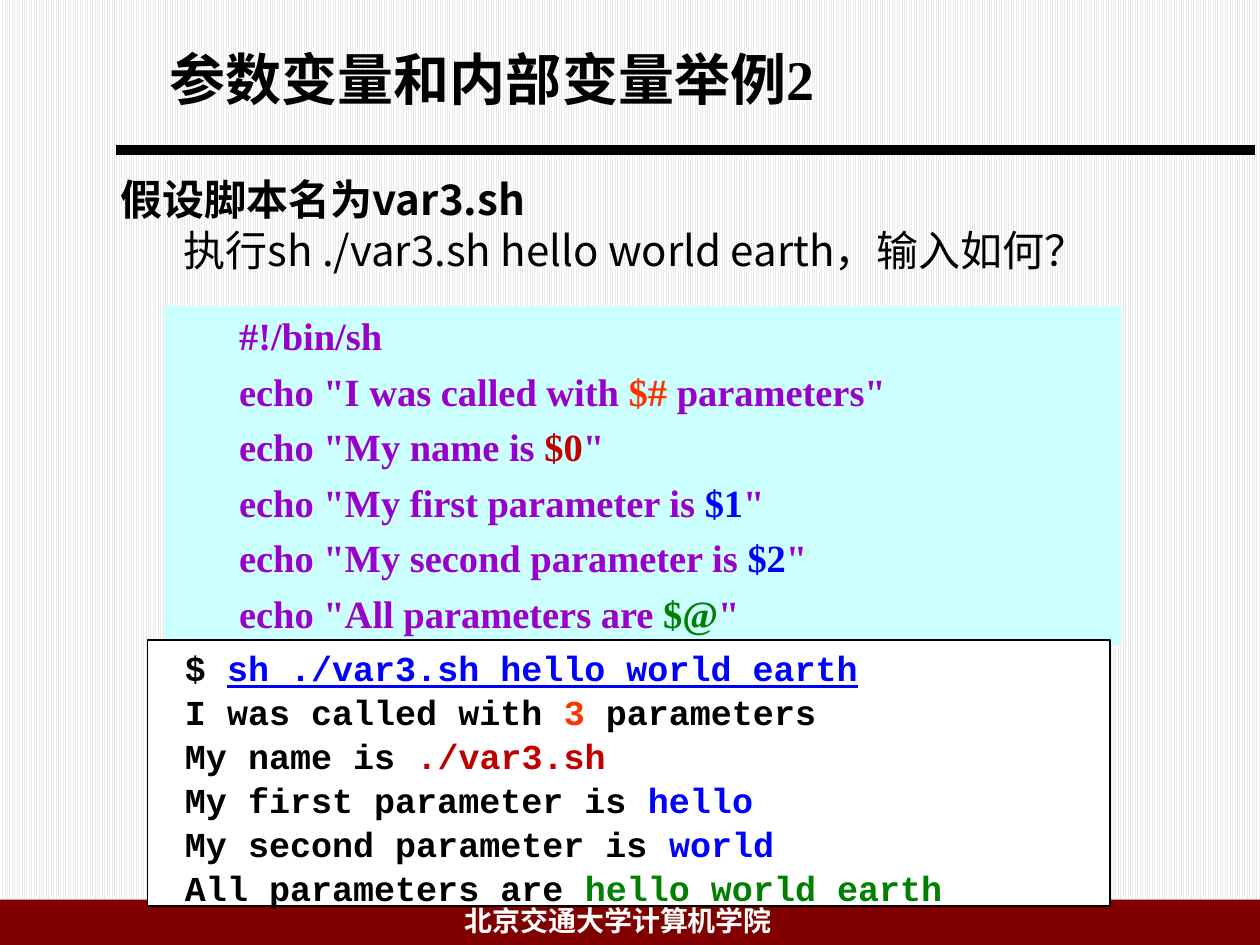
from lxml import etree
from pptx import Presentation
from pptx import util as u
from pptx.dml.color import RGBColor
from pptx.enum import dml, shapes, text
from pptx.oxml.ns import qn

BLACK = RGBColor(0x00, 0x00, 0x00)
WHITE = RGBColor(0xFF, 0xFF, 0xFF)
STRIPE = RGBColor(0xEA, 0xEA, 0xEA)
MAROON = RGBColor(0x80, 0x00, 0x00)
CYAN = RGBColor(0xCC, 0xFF, 0xFF)
PURPLE = RGBColor(0x99, 0x00, 0xCC)
ORANGE = RGBColor(0xFF, 0x33, 0x00)
RED = RGBColor(0xC0, 0x00, 0x00)
BLUE = RGBColor(0x00, 0x00, 0xFF)
GREEN = RGBColor(0x00, 0x80, 0x00)
SERIF, SANS, MONO = "Times New Roman", "Noto Sans CJK SC", "Courier New"


def add_box(slide, left, top, width, height, fill=None, line=None):
    position = [u.Inches(value) for value in (left, top, width, height)]
    if fill is None:
        shape = slide.shapes.add_textbox(*position)
    else:
        shape = slide.shapes.add_shape(shapes.MSO_SHAPE.RECTANGLE, *position)
        shape.shadow.inherit = False
        shape.fill.solid()
        shape.fill.fore_color.rgb = fill
        if line is None:
            shape.line.fill.background()
        else:
            shape.line.color.rgb = line
            shape.line.width = u.Pt(0.75)
    shape.text_frame.word_wrap = True
    shape.text_frame.vertical_anchor = text.MSO_ANCHOR.TOP
    return shape


def add_lines(shape, lines, font, size, margin=0, hanging=0, space=0, bold=True):
    frame = shape.text_frame
    for runs in lines:
        first = not frame.paragraphs[0].runs
        paragraph = frame.paragraphs[0] if first else frame.add_paragraph()
        paragraph.alignment = text.PP_ALIGN.LEFT
        if not first:
            paragraph.space_before = u.Pt(space)
        properties = paragraph._p.get_or_add_pPr()
        properties.set("marL", str(u.Inches(margin)))
        properties.set("indent", str(-u.Inches(hanging)))
        for wording, color in runs:
            run = paragraph.add_run()
            run.text = wording
            run.font.name = font
            run.font.size = u.Pt(size)
            run.font.bold = bold
            run.font.color.rgb = color
            east_asian = etree.Element(qn("a:ea"), typeface=SANS)
            run._r.rPr.find(qn("a:latin")).addnext(east_asian)


presentation = Presentation()
presentation.slide_width = u.Inches(10)
presentation.slide_height = u.Inches(7.5)
slide = presentation.slides.add_slide(presentation.slide_layouts[6])

background = slide.background.fill
background.patterned()
background.pattern = dml.MSO_PATTERN.LIGHT_VERTICAL
background.fore_color.rgb = STRIPE
background.back_color.rgb = WHITE

rule = slide.shapes.add_connector(
    shapes.MSO_CONNECTOR.STRAIGHT,
    u.Inches(0.92), u.Inches(1.19), u.Inches(9.96), u.Inches(1.19),
)
rule.line.color.rgb = BLACK
rule.line.width = u.Pt(6)
etree.SubElement(rule._element.spPr, qn("a:effectLst"))

add_box(slide, 0, 7.14, 10, 0.36, MAROON)
footer = add_box(slide, 3.59, 7.12, 3.32, 0.37)
add_lines(footer, [[("北京交通大学计算机学院", WHITE)]], SERIF, 16)

title = add_box(slide, 1.25, 0.3, 8.25, 1.25)
add_lines(title, [[("参数变量和内部变量举例2", BLACK)]], SERIF, 32)

body = add_box(slide, 0.86, 1.33, 9.14, 5.96)
add_lines(body, [[("假设脚本名为var3.sh", BLACK)]], SANS, 24, 0.38, 0.38)
question = [("执行sh ./var3.sh hello world earth，输入如何？", BLACK)]
add_lines(body, [question], SANS, 24, 0.81, 0.31, bold=False)

script_lines = [
    [("#!/bin/sh", PURPLE)],
    [('echo "I was called with', PURPLE), (" $# ", ORANGE), ('parameters"', PURPLE)],
]
for wording, variable, color in [
    ("My name is ", "$0", RED),
    ("My first parameter is ", "$1", BLUE),
    ("My second parameter is ", "$2", BLUE),
    ("All parameters are ", "$@", GREEN),
]:
    script_lines.append([(f'echo "{wording}', PURPLE), (variable, color), ('"', PURPLE)])
script_box = add_box(slide, 1.3, 2.43, 7.6, 2.69, CYAN)
add_lines(script_box, script_lines, SERIF, 22, 0.5, space=5.3)

output_lines = [
    [("$ ", BLACK), ("sh ./var3.sh hello world earth", BLUE)],
    [("I was called with ", BLACK), ("3", ORANGE), (" parameters", BLACK)],
    [("My name is ", BLACK), ("./var3.sh", RED)],
    [("My first parameter is ", BLACK), ("hello", BLUE)],
    [("My second parameter is ", BLACK), ("world", BLUE)],
    [("All parameters are ", BLACK), ("hello world earth", GREEN)],
]
output_box = add_box(slide, 1.17, 5.08, 7.64, 2.11, WHITE, BLACK)
add_lines(output_box, output_lines, MONO, 20, 0.2, space=1.2)
output_box.text_frame.paragraphs[0].runs[1].font.underline = True

presentation.save("out.pptx")
